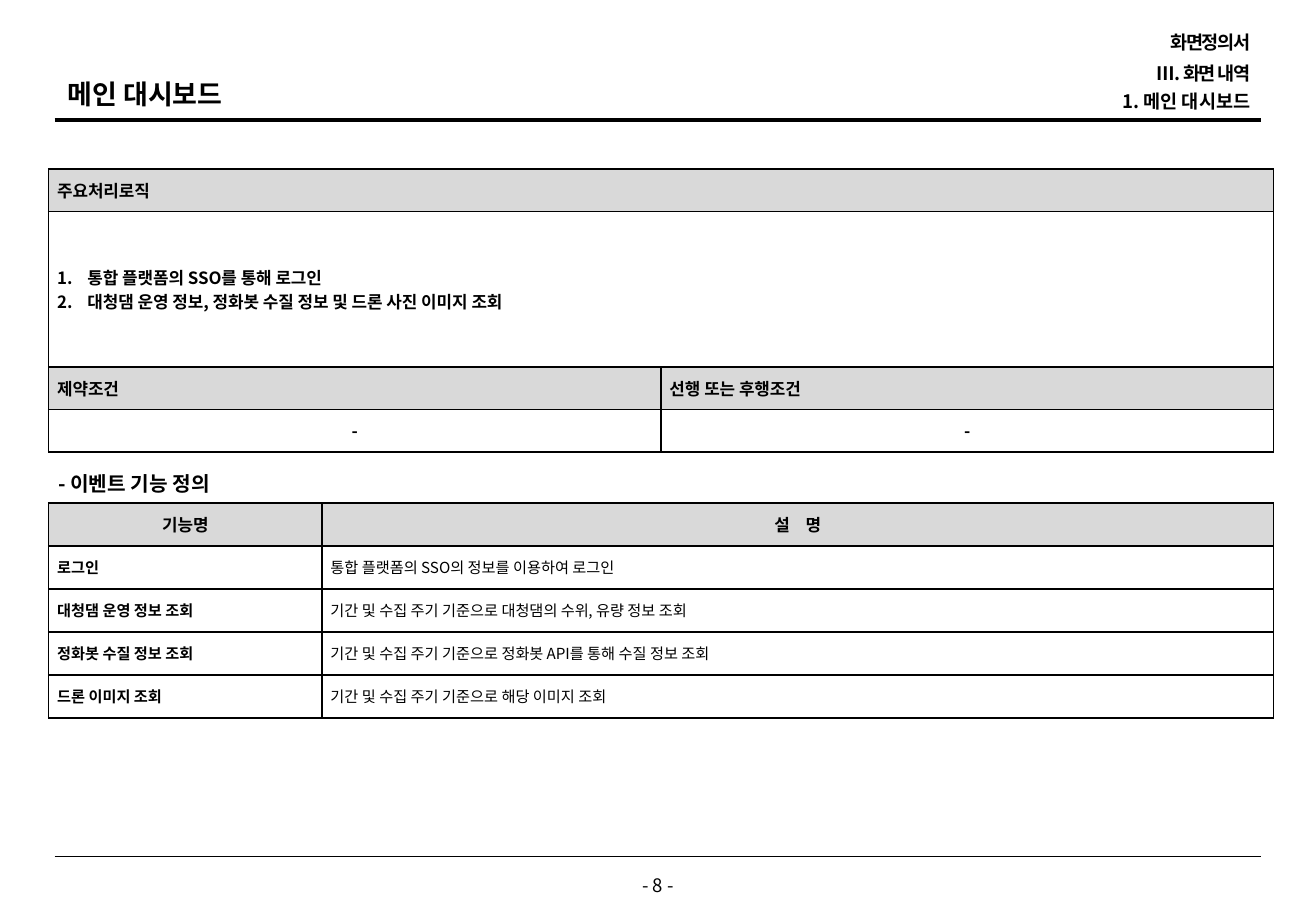
from dataclasses import dataclass

from lxml.etree import SubElement
from pptx import Presentation
from pptx.dml.color import RGBColor
from pptx.enum.shapes import MSO_CONNECTOR
from pptx.enum.text import MSO_ANCHOR as Anchor, PP_ALIGN as Align
from pptx.oxml.ns import qn
from pptx.util import Inches, Pt


@dataclass(frozen=True)
class Theme:
    font: str = "Noto Sans CJK KR"
    ink: RGBColor = RGBColor(0, 0, 0)
    paper: RGBColor = RGBColor(255, 255, 255)
    shade: RGBColor = RGBColor(0xD9, 0xD9, 0xD9)
    title: float = 16
    section: float = 12
    header: float = 11
    label: float = 10
    detail: float = 9


THEME = Theme()

# Content
TITLE = "메인 대시보드"
BREADCRUMB = [  # text, top, letter spacing in points
    ("화면정의서", 0.26, -0.8),
    ("Ⅲ. 화면 내역", 0.51, -0.8),
    ("1. 메인 대시보드", 0.74, 0),
]
LOGIC_HEADING = "주요처리로직"
LOGIC_STEPS = [
    "통합 플랫폼의 SSO를 통해 로그인",
    "대청댐 운영 정보, 정화봇 수질 정보 및 드론 사진 이미지 조회",
]
CONDITIONS = [("제약조건", "-"), ("선행 또는 후행조건", "-")]
EVENTS_HEADING = "- 이벤트 기능 정의"
EVENT_NAME_HEADING = "기능명"
EVENT_DETAIL_HEADING = ("설", "명")
EVENTS = [
    ("로그인", "통합 플랫폼의 SSO의 정보를 이용하여 로그인"),
    ("대청댐 운영 정보 조회", "기간 및 수집 주기 기준으로 대청댐의 수위, 유량 정보 조회"),
    ("정화봇 수질 정보 조회", "기간 및 수집 주기 기준으로 정화봇 API를 통해 수질 정보 조회"),
    ("드론 이미지 조회", "기간 및 수집 주기 기준으로 해당 이미지 조회"),
]
PAGE_NUMBER = "- 8 -"

# Layout, in inches
SLIDE_WIDTH, SLIDE_HEIGHT = 10.83, 7.5
RULE_LEFT, RULE_RIGHT = 0.45, 10.38
TABLE_LEFT, TABLE_WIDTH = 0.4, 10.08
ROW_HEIGHT, STEPS_HEIGHT = 0.35, 1.28
EVENT_COLUMN = 2.25
EVENTS_HEIGHT = 1.77


def add_run(paragraph, text, size, bold=True, spacing=0):
    run = paragraph.add_run()
    run.text = text
    font = run.font
    font.size, font.bold, font.name = Pt(size), bold, THEME.font
    font.color.rgb = THEME.ink
    properties = run._r.get_or_add_rPr()
    SubElement(properties, qn("a:ea"), typeface=THEME.font)
    if spacing:
        properties.set("spc", str(round(spacing * 100)))


def add_text(slide, box, text, size, bold=True, align=Align.LEFT, anchor=Anchor.TOP,
             line_spacing=0.9, spacing=0, wrap=True, inset=None):
    frame = slide.shapes.add_textbox(*map(Inches, box)).text_frame
    frame.word_wrap, frame.vertical_anchor = wrap, anchor
    if inset is not None:
        frame.margin_left = frame.margin_right = Inches(inset)
        frame.margin_top = frame.margin_bottom = Inches(inset)
    paragraph = frame.paragraphs[0]
    paragraph.alignment, paragraph.line_spacing = align, line_spacing
    add_run(paragraph, text, size, bold, spacing)


def add_rule(slide, y, width):
    rule = slide.shapes.add_connector(
        MSO_CONNECTOR.STRAIGHT, *map(Inches, (RULE_LEFT, y, RULE_RIGHT, y)))
    rule.line.color.rgb, rule.line.width = THEME.ink, Pt(width)
    SubElement(rule._element.spPr, qn("a:effectLst"))


def add_grid(slide, top, columns, rows, shaded_rows):
    """Add a bordered table whose heading rows are shaded."""
    table = slide.shapes.add_table(
        len(rows), len(columns),
        *map(Inches, (TABLE_LEFT, top, sum(columns), sum(rows)))).table
    table.first_row = table.horz_banding = False
    for column, width in zip(table.columns, columns):
        column.width = Inches(width)
    for index, (row, height) in enumerate(zip(table.rows, rows)):
        row.height = Inches(height)
        for cell in row.cells:
            cell.vertical_anchor = Anchor.MIDDLE
            cell.margin_left = cell.margin_right = Inches(0.07)
            cell.margin_top = cell.margin_bottom = 0
            for side in ("lnL", "lnR", "lnT", "lnB"):
                border = SubElement(cell._tc.get_or_add_tcPr(), qn(f"a:{side}"), w=str(Pt(1)))
                fill = SubElement(border, qn("a:solidFill"))
                SubElement(fill, qn("a:srgbClr"), val=str(THEME.ink))
            cell.fill.solid()
            cell.fill.fore_color.rgb = THEME.shade if index in shaded_rows else THEME.paper
    return table


def write_cell(cell, text, size=THEME.label, bold=True, align=Align.JUSTIFY):
    paragraph = cell.text_frame.paragraphs[0]
    paragraph.alignment = align
    add_run(paragraph, text, size, bold)


def add_steps(cell, steps):
    frame = cell.text_frame
    for index, step in enumerate(steps):
        paragraph = frame.add_paragraph() if index else frame.paragraphs[0]
        properties = paragraph._p.get_or_add_pPr()
        properties.set("marL", str(Inches(0.25)))
        properties.set("indent", str(-Inches(0.25)))
        SubElement(properties, qn("a:buFont"), typeface="+mj-lt")
        SubElement(properties, qn("a:buAutoNum"), type="arabicPeriod")
        add_run(paragraph, step, THEME.label)


def add_logic_table(slide):
    columns = [TABLE_WIDTH / len(CONDITIONS)] * len(CONDITIONS)
    rows = [ROW_HEIGHT, STEPS_HEIGHT, ROW_HEIGHT, ROW_HEIGHT]
    table = add_grid(slide, 1.39, columns, rows, shaded_rows=(0, 2))
    for row in (0, 1):
        table.cell(row, 0).merge(table.cell(row, len(columns) - 1))
    write_cell(table.cell(0, 0), LOGIC_HEADING, align=Align.LEFT)
    add_steps(table.cell(1, 0), LOGIC_STEPS)
    for column, (heading, condition) in enumerate(CONDITIONS):
        write_cell(table.cell(2, column), heading)
        write_cell(table.cell(3, column), condition, align=Align.CENTER)


def add_event_table(slide):
    count = len(EVENTS) + 1
    table = add_grid(slide, 4.14, [EVENT_COLUMN, TABLE_WIDTH - EVENT_COLUMN],
                     [EVENTS_HEIGHT / count] * count, shaded_rows=(0,))
    write_cell(table.cell(0, 0), EVENT_NAME_HEADING, align=Align.CENTER)
    first, last = EVENT_DETAIL_HEADING
    detail_heading = table.cell(0, 1)
    write_cell(detail_heading, first, align=Align.CENTER)
    add_run(detail_heading.text_frame.paragraphs[0], " ", THEME.label, spacing=7)
    add_run(detail_heading.text_frame.paragraphs[0], last, THEME.label)
    for row, (name, detail) in enumerate(EVENTS, start=1):
        write_cell(table.cell(row, 0), name, THEME.detail)
        write_cell(table.cell(row, 1), detail, THEME.detail, bold=False)


def main():
    deck = Presentation()
    deck.slide_width, deck.slide_height = Inches(SLIDE_WIDTH), Inches(SLIDE_HEIGHT)
    slide = deck.slides.add_slide(deck.slide_layouts[6])

    add_rule(slide, 0.99, 2.25)
    add_rule(slide, 7.05, 0.5)
    add_text(slide, (4.1, 7.19, 2.63, 0.21), PAGE_NUMBER, THEME.header, bold=False,
             align=Align.CENTER, anchor=Anchor.MIDDLE, line_spacing=Pt(12), inset=0)
    add_text(slide, (0.46, 0.62, 6.77, 0.32), TITLE, THEME.title)
    for text, top, spacing in BREADCRUMB:
        add_text(slide, (7.32, top, 3.07, 0.2), text, THEME.header, align=Align.RIGHT,
                 anchor=Anchor.MIDDLE, spacing=spacing)
    add_logic_table(slide)
    add_text(slide, (0.38, 3.83, 2.05, 0.31), EVENTS_HEADING, THEME.section,
             line_spacing=1.0, wrap=False)
    add_event_table(slide)
    deck.save("out.pptx")


if __name__ == "__main__":
    main()
